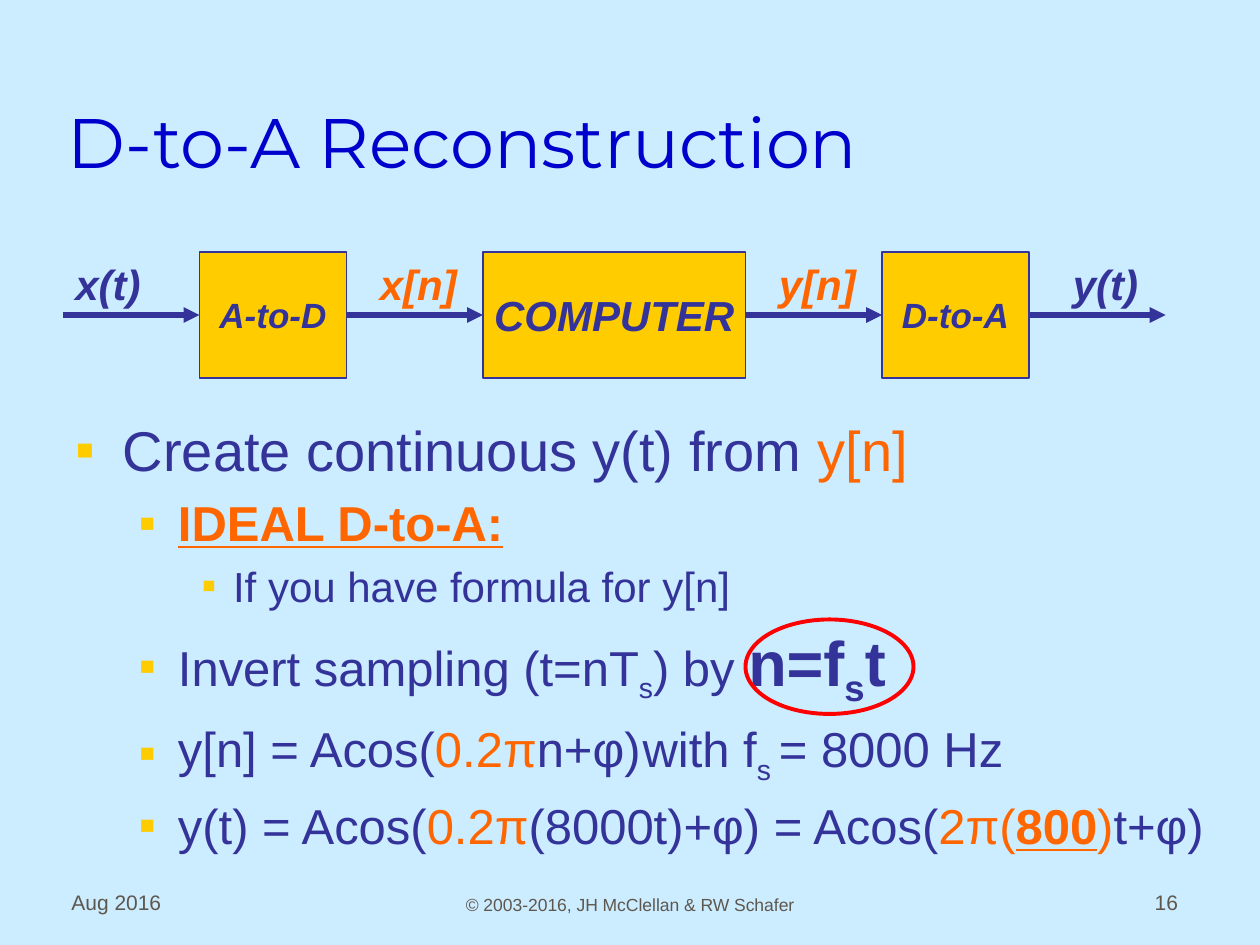
from lxml.etree import SubElement
from pptx import Presentation
from pptx.dml.color import RGBColor
from pptx.enum.shapes import MSO_CONNECTOR, MSO_SHAPE
from pptx.enum.text import MSO_ANCHOR, MSO_AUTO_SIZE, PP_ALIGN
from pptx.oxml.ns import qn
from pptx.util import Pt

EMU_PER_PX = 9525
COLORS = {
    "background": "CCECFF", "title": "0000CC", "ink": "333399",
    "accent": "FF6600", "block": "FFCC00", "ring": "FF0000", "footer": "5E574E",
}
INDENTS = [(36, 36), (78, 30), (120, 24)]
SIZES = [32, 28, 24]
FORMULA_TAB = 394

BULLETS = [
    (0, [("Create continuous y(t) from ", ""), ("y[n]", "accent")]),
    (1, [("IDEAL D-to-A:", "accent bold underline")]),
    (2, [("If you have formula for y[n]", "")]),
    (1, [("Invert sampling (t=nT", ""), ("s", "sub"), (") by ", ""),
         ("n=f", "bold large"), ("s", "bold large sub"), ("t", "bold large")]),
    (1, [("y[n] = Acos(", ""), ("0.2π", "accent"), ("n+φ)\twith f", ""),
         ("s ", "sub"), ("= 8000 Hz", "")]),
    (1, [("y(t) = Acos(", ""), ("0.2π", "accent"), ("(8000t)+φ) = Acos(", ""),
         ("2π(", "accent"), ("800", "accent bold underline"), (")", "accent"),
         ("t+φ)", "")]),
]


def px(value):
    return round(value * EMU_PER_PX)


def color(name):
    return RGBColor.from_string(COLORS[name])


def place(shape, box):
    shape.left, shape.top, shape.width, shape.height = map(px, box)


def style(font, size, color_name, name="Arial", strong=False):
    font.name = name
    font.size = Pt(size)
    font.color.rgb = color(color_name)
    font.bold = font.italic = strong


def add_text(slide, box, text, size, color_name, align=PP_ALIGN.LEFT,
             strong=False):
    text_box = slide.shapes.add_textbox(*map(px, box))
    paragraph = text_box.text_frame.paragraphs[0]
    paragraph.text = text
    paragraph.alignment = align
    style(paragraph.font, size, color_name, strong=strong)
    return text_box.text_frame


def add_title(slide, box):
    title = slide.shapes.title
    place(title, box)
    frame = title.text_frame
    frame.text = "D-to-A Reconstruction"
    frame.auto_size = MSO_AUTO_SIZE.NONE
    frame.vertical_anchor = MSO_ANCHOR.BOTTOM
    paragraph = frame.paragraphs[0]
    paragraph.alignment = PP_ALIGN.LEFT
    style(paragraph.font, 40, "title", "Montserrat")


def set_bullet(paragraph, level):
    properties = paragraph._p.get_or_add_pPr()
    margin, hanging = INDENTS[level]
    properties.set("marL", str(px(margin)))
    properties.set("indent", str(-px(hanging)))
    bullet_color = SubElement(properties, qn("a:buClr"))
    SubElement(bullet_color, qn("a:srgbClr"), val=COLORS["block"])
    SubElement(properties, qn("a:buFont"), typeface="Arial")
    SubElement(properties, qn("a:buChar"), char="▪")
    if "\t" in paragraph.text:
        tabs = SubElement(properties, qn("a:tabLst"))
        SubElement(tabs, qn("a:tab"), pos=str(px(FORMULA_TAB)), algn="l")


def add_list(slide, box):
    body = slide.placeholders[1]
    place(body, box)
    frame = body.text_frame
    frame.auto_size = MSO_AUTO_SIZE.NONE
    for index, (level, pieces) in enumerate(BULLETS):
        paragraph = frame.add_paragraph() if index else frame.paragraphs[0]
        paragraph.level = level
        for text, marks in pieces:
            run = paragraph.add_run()
            run.text = text
            run.font.color.rgb = color("accent" if "accent" in marks else "ink")
            if "bold" in marks:
                run.font.bold = True
            if "underline" in marks:
                run.font.underline = True
            if "large" in marks:
                run.font.size = Pt(36)
            if "sub" in marks:
                run._r.get_or_add_rPr().set("baseline", "-25000")
        set_bullet(paragraph, level)
        if index == 0:
            paragraph.space_before = Pt(0)
        paragraph.font.name = "Arial"
        paragraph.font.size = Pt(SIZES[level])


def add_block(slide, box, text, size):
    block = slide.shapes.add_shape(MSO_SHAPE.RECTANGLE, *map(px, box))
    block.shadow.inherit = False
    block.fill.solid()
    block.fill.fore_color.rgb = color("block")
    block.line.color.rgb = color("ink")
    block.line.width = Pt(0.75)
    frame = block.text_frame
    frame.word_wrap = False
    frame.vertical_anchor = MSO_ANCHOR.MIDDLE
    paragraph = frame.paragraphs[0]
    paragraph.text = text
    paragraph.alignment = PP_ALIGN.CENTER
    style(paragraph.font, size, "ink", strong=True)
    return block


def add_arrow(slide, start, end, y, source, target):
    arrow = slide.shapes.add_connector(
        MSO_CONNECTOR.STRAIGHT, px(start), px(y), px(end), px(y))
    if source is not None:
        arrow.begin_connect(source, 3)
    if target is not None:
        arrow.end_connect(target, 1)
    arrow.line.color.rgb = color("ink")
    arrow.line.width = Pt(3)
    SubElement(arrow.line._get_or_add_ln(), qn("a:tailEnd"), type="triangle")
    SubElement(arrow._element.spPr, qn("a:effectLst"))


def add_diagram(slide, box):
    left, top, width, height = box
    blocks = [None]
    edges = [left]
    for offset, block_width, text, size in [
            (104, 112, "A-to-D", 20), (320, 200, "COMPUTER", 24),
            (624, 112, "D-to-A", 20)]:
        x = left + offset
        blocks.append(add_block(slide, (x, top, block_width, height), text, size))
        edges += [x, x + block_width]
    edges.append(left + width)
    blocks.append(None)
    for index in range(len(blocks) - 1):
        add_arrow(slide, edges[2 * index], edges[2 * index + 1],
                  top + height // 2, blocks[index], blocks[index + 1])
    for offset, label_width, text, color_name in [
            (0, 79, "x(t)", "ink"), (232, 84, "x[n]", "accent"),
            (536, 84, "y[n]", "accent"), (760, 78, "y(t)", "ink")]:
        frame = add_text(slide, (left + offset, top, label_width, 50), text, 24,
                         color_name, strong=True)
        frame.word_wrap = False
        frame.auto_size = MSO_AUTO_SIZE.SHAPE_TO_FIT_TEXT


def add_ring(slide, box):
    ring = slide.shapes.add_shape(MSO_SHAPE.OVAL, *map(px, box))
    ring.shadow.inherit = False
    ring.fill.background()
    ring.line.color.rgb = color("ring")
    ring.line.width = Pt(2.25)


def add_footer(slide, box):
    left, top, width, height = box
    for offset, part_width, text, size, align in [
            (0, 200, "Aug 2016", 12, PP_ALIGN.LEFT),
            (283, 304, "© 2003-2016, JH McClellan & RW Schafer", 10,
             PP_ALIGN.CENTER),
            (width - 200, 200, "16", 12, PP_ALIGN.RIGHT)]:
        frame = add_text(slide, (left + offset, top, part_width, height), text,
                         size, "footer", align)
        frame.word_wrap = True
        frame.vertical_anchor = MSO_ANCHOR.BOTTOM


def main():
    presentation = Presentation()
    presentation.slide_width, presentation.slide_height = px(960), px(720)
    slide = presentation.slides.add_slide(presentation.slide_layouts[1])
    slide.background.fill.solid()
    slide.background.fill.fore_color.rgb = color("background")
    add_footer(slide, (45, 654, 862, 48))
    add_title(slide, (42, 24, 816, 120))
    add_list(slide, (48, 312, 912, 360))
    add_diagram(slide, (48, 192, 840, 96))
    add_ring(slide, (568, 472, 128, 72))
    presentation.save("out.pptx")


if __name__ == "__main__":
    main()
